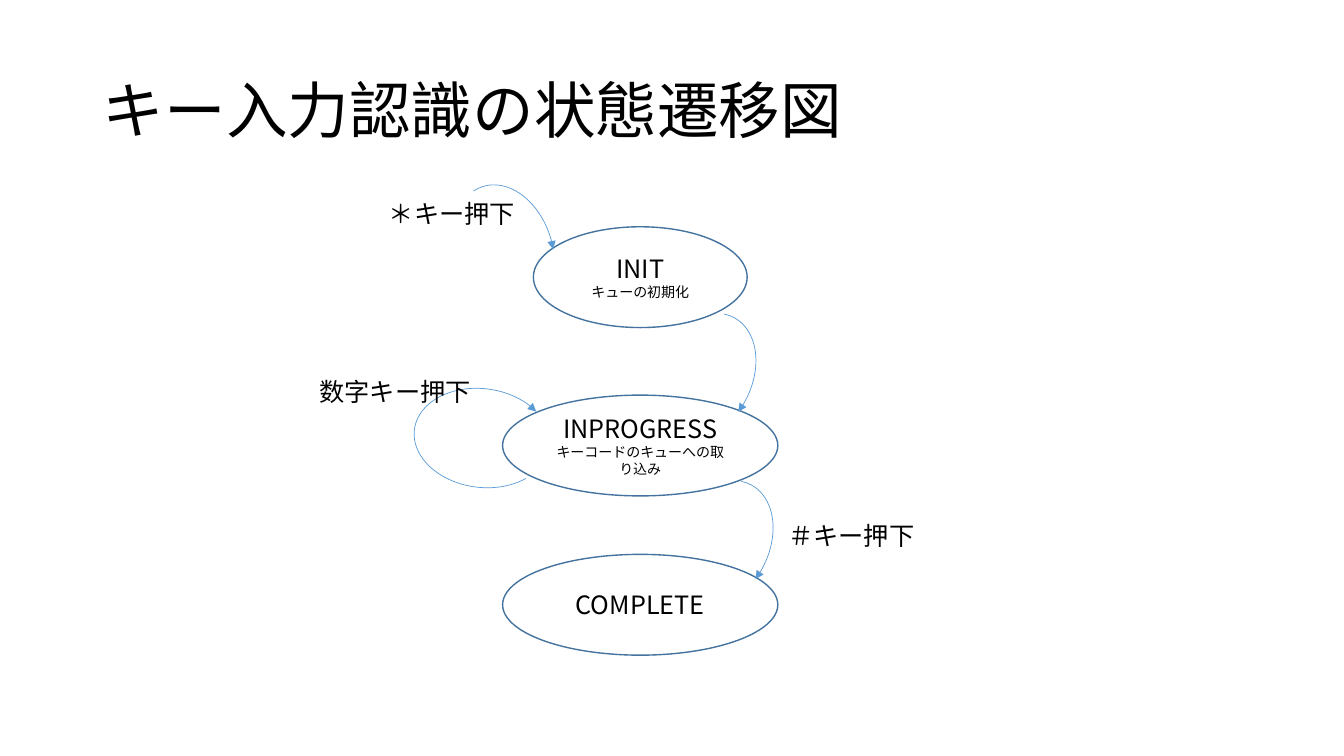
from lxml.etree import SubElement
from pptx import Presentation
from pptx.dml.color import RGBColor
from pptx.enum.shapes import MSO_SHAPE as Preset
from pptx.enum.text import MSO_ANCHOR as Anchor, MSO_AUTO_SIZE as AutoSize, PP_ALIGN as Align
from pptx.oxml.ns import qn
from pptx.util import Inches, Pt

FONT = "Noto Sans CJK JP"
BLACK, STATE_LINE, ARROW_LINE = "000000", "43739E", "5B9BD5"
CENTER_X = 6.35
STATE_HEIGHT = 1
ARC_WIDTH, ARC_HEIGHT = 0.98, 1.35
QUARTER_ARC = (156.59, 8.78)
LOOP_ARC = (75.2, 34.03)

STATES = [  # top, width, name, action
    (2.25, 2.12, "INIT", "キューの初期化"),
    (3.92, 2.73, "INPROGRESS", "キーコードのキューへの取り込み"),
    (5.5, 2.73, "COMPLETE", None),
]
TRANSITIONS = [  # left, top, rotation, arc angles
    (6.47, 3.07, 28.5, QUARTER_ARC),
    (6.64, 4.73, 28.5, QUARTER_ARC),
    (4.29, 3.67, 277.3, LOOP_ARC),
    (4.5, 1.82, 342.9, QUARTER_ARC),
]
EVENTS = [  # left, top, width, text
    (3.76, 1.92, 1.46, "＊キー押下"),
    (7.72, 5.11, 1.46, "＃キー押下"),
    (3.07, 3.68, 1.72, "数字キー押下"),
]


def color(hex_string):
    return RGBColor.from_string(hex_string)


def add_run(paragraph, text, size):
    run = paragraph.add_run()
    run.text = text
    run.font.size = Pt(size)
    run.font.color.rgb = color(BLACK)
    run.font.name = FONT
    SubElement(run.font._element, qn("a:ea"), typeface=FONT)


def add_outline(slide, preset, box, line_color, line_width):
    """Add an unfilled preset shape."""
    shape = slide.shapes.add_shape(preset, *map(Inches, box))
    shape.shadow.inherit = False
    shape.fill.background()
    shape.line.color.rgb = color(line_color)
    shape.line.width = Pt(line_width)
    return shape


def set_title(slide, text):
    title = slide.shapes.title
    title.left, title.top = Inches(0.92), Inches(0.4)
    title.width, title.height = Inches(11.5), Inches(1.45)
    frame = title.text_frame
    frame.auto_size = AutoSize.NONE
    frame.vertical_anchor = Anchor.MIDDLE
    paragraph = frame.paragraphs[0]
    paragraph.alignment = Align.LEFT
    paragraph.line_spacing = 0.9
    add_run(paragraph, text, 44)


def add_state(slide, top, width, name, action):
    box = (CENTER_X - width / 2, top, width, STATE_HEIGHT)
    frame = add_outline(slide, Preset.OVAL, box, STATE_LINE, 1).text_frame
    frame.word_wrap = True
    frame.vertical_anchor = Anchor.MIDDLE
    paragraph = frame.paragraphs[0]
    paragraph.alignment = Align.CENTER
    add_run(paragraph, name, 18)
    if action:
        paragraph = frame.add_paragraph()
        paragraph.alignment = Align.CENTER
        add_run(paragraph, action, 10)


def add_transition(slide, left, top, rotation, angles):
    box = (left, top, ARC_WIDTH, ARC_HEIGHT)
    arc = add_outline(slide, Preset.ARC, box, ARROW_LINE, 0.5)
    arc.rotation = rotation
    arc.adjustments[0], arc.adjustments[1] = angles
    SubElement(arc.line._get_or_add_ln(), qn("a:tailEnd"), type="triangle")


def add_event(slide, left, top, width, text):
    box = slide.shapes.add_textbox(*map(Inches, (left, top, width, 0.4)))
    frame = box.text_frame
    frame.word_wrap = False
    frame.auto_size = AutoSize.SHAPE_TO_FIT_TEXT
    add_run(frame.paragraphs[0], text, 18)


def main():
    presentation = Presentation()
    presentation.slide_width = Inches(13.33)
    presentation.slide_height = Inches(7.5)
    slide = presentation.slides.add_slide(presentation.slide_layouts[5])

    set_title(slide, "キー入力認識の状態遷移図")
    for state in STATES:
        add_state(slide, *state)
    for transition in TRANSITIONS:
        add_transition(slide, *transition)
    for event in EVENTS:
        add_event(slide, *event)

    presentation.save("out.pptx")


if __name__ == "__main__":
    main()
